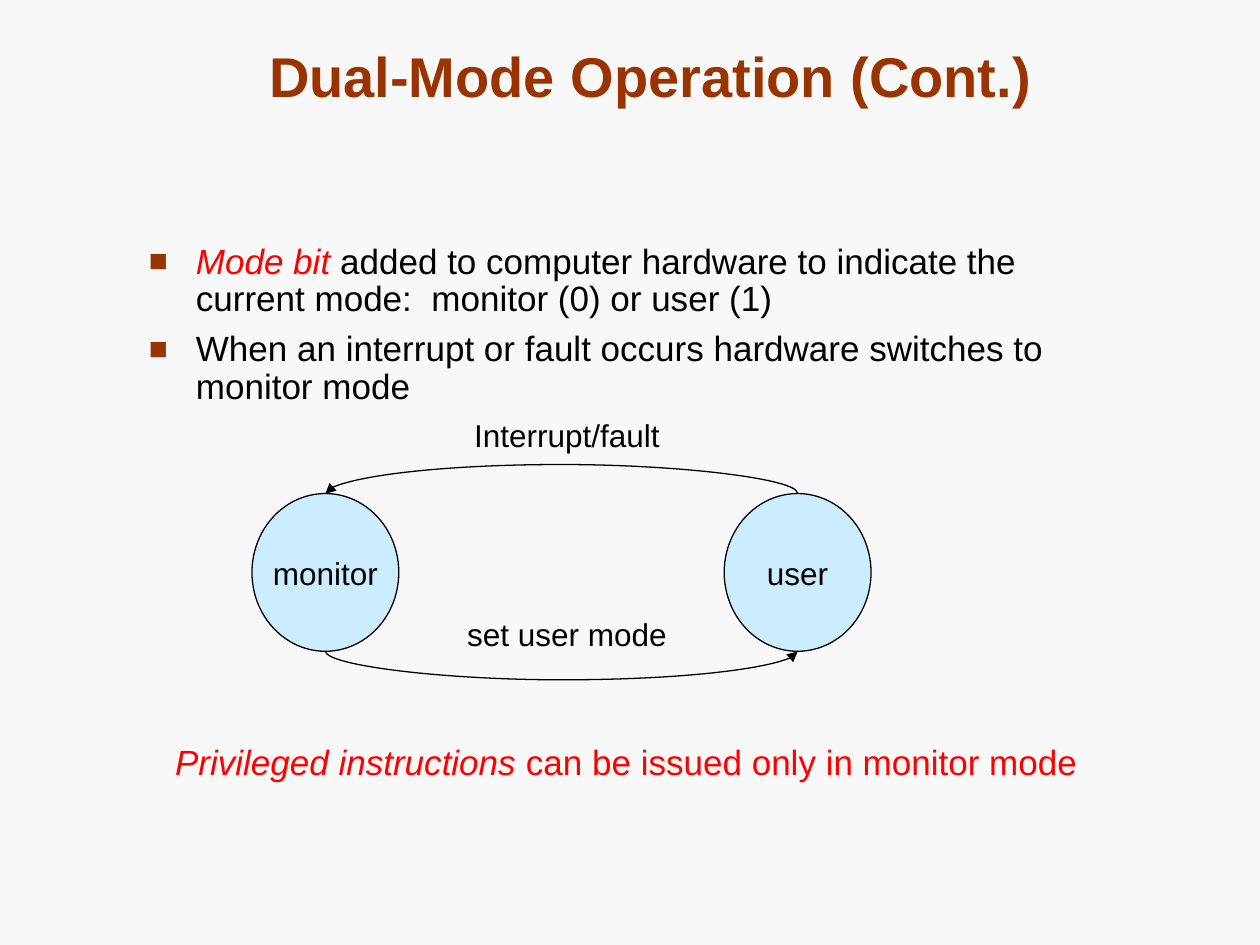
import pptx
import pptx.util
import pptx.dml.color
import pptx.enum.shapes
import pptx.enum.text
import pptx.oxml.ns
import lxml.etree

Cm = pptx.util.Cm
Pt = pptx.util.Pt
Rgb = pptx.dml.color.RGBColor.from_string
Align = pptx.enum.text.PP_ALIGN
Anchor = pptx.enum.text.MSO_ANCHOR
qn = pptx.oxml.ns.qn

theme = {
    "font": "Arial", "back": "F8F8F8", "ink": "000000", "brand": "993300",
    "alert": "FF0000", "node": "CCECFF",
    "title": 32, "body": 20, "label": 18, "line": 0.75,
}


def style(run, size, color, bold=False, italic=False):
    run.font.name = theme["font"]
    run.font.size = Pt(theme[size])
    run.font.color.rgb = Rgb(theme[color])
    run.font.bold = bold
    run.font.italic = italic


def add_box(left, top, width, height, anchor=Anchor.TOP, wrap=True):
    box = slide.shapes.add_textbox(Cm(left), Cm(top), Cm(width), Cm(height))
    box.text_frame.word_wrap = wrap
    box.text_frame.vertical_anchor = anchor
    return box.text_frame


deck = pptx.Presentation()
deck.slide_width = Cm(25.4)
deck.slide_height = Cm(19.05)
slide = deck.slides.add_slide(deck.slide_layouts[6])
slide.background.fill.solid()
slide.background.fill.fore_color.rgb = Rgb(theme["back"])

title = add_box(1.9, 0.62, 22.43, 1.7, Anchor.BOTTOM)
title.text = "Dual-Mode Operation (Cont.)"
title.paragraphs[0].alignment = Align.CENTER
style(title.paragraphs[0].runs[0], "title", "brand", bold=True)

points = [
    [("Mode bit ", "alert", True),
     ("added to computer hardware to indicate the current mode:  monitor (0) or user (1)", "ink", False)],
    [("When an interrupt or fault occurs hardware switches to monitor mode", "ink", False)],
]
body = add_box(2.75, 4.79, 19.53, 3.89)
for i, parts in enumerate(points):
    para = body.add_paragraph() if i else body.paragraphs[0]
    para.line_spacing = 0.9
    para.space_after = Pt(7)
    props = para._p.get_or_add_pPr()
    props.set("marL", str(Cm(0.95)))
    props.set("indent", str(-Cm(0.95)))
    hue = lxml.etree.SubElement(props, qn("a:buClr"))
    lxml.etree.SubElement(hue, qn("a:srgbClr"), val=theme["brand"])
    lxml.etree.SubElement(props, qn("a:buSzPct"), val="90000")
    lxml.etree.SubElement(props, qn("a:buFont"), typeface=theme["font"])
    lxml.etree.SubElement(props, qn("a:buChar"), char="■")
    for text, color, slant in parts:
        run = para.add_run()
        run.text = text
        style(run, "body", color, italic=slant)

note = add_box(3.28, 14.8, 19.53, 1.48).paragraphs[0]
for text, slant in [("Privileged instructions ", True), ("can be issued only in monitor mode", False)]:
    run = note.add_run()
    run.text = text
    style(run, "body", "alert", italic=slant)

wide, high, top = 2.96, 3.18, 9.95
lefts = {"monitor": 5.08, "user": 14.6}
nodes = {}
for name, left in lefts.items():
    node = slide.shapes.add_shape(
        pptx.enum.shapes.MSO_SHAPE.OVAL, Cm(left), Cm(top), Cm(wide), Cm(high))
    node.shadow.inherit = False
    node.fill.solid()
    node.fill.fore_color.rgb = Rgb(theme["node"])
    node.line.color.rgb = Rgb(theme["ink"])
    node.line.width = Pt(theme["line"])
    frame = node.text_frame
    frame.word_wrap = False
    frame.vertical_anchor = Anchor.MIDDLE
    frame.text = name
    frame.paragraphs[0].alignment = Align.CENTER
    style(frame.paragraphs[0].runs[0], "label", "ink")
    nodes[name] = node

span = lefts["user"] - lefts["monitor"]
mid = (lefts["user"] + lefts["monitor"] + wide) / 2
thin, bulge = 0.01, 0.58
arcs = [("user", "monitor", top, 0, -1), ("monitor", "user", top + high, 4, 1)]
for start, end, level, site, way in arcs:
    arc = slide.shapes.add_connector(
        pptx.enum.shapes.MSO_CONNECTOR.CURVE,
        Cm(mid + thin / 2), Cm(level - way * span / 2),
        Cm(mid - thin / 2), Cm(level + way * span / 2))
    arc.line.color.rgb = Rgb(theme["ink"])
    arc.line.width = Pt(theme["line"])
    props = arc._element.spPr
    props.find(qn("a:xfrm")).set("rot", str(270 * 60000))
    guides = props.find(qn("a:prstGeom")).get_or_add_avLst()
    ratio = round(way * bulge / thin * 100000)
    lxml.etree.SubElement(guides, qn("a:gd"), name="adj1", fmla=f"val {ratio}")
    lxml.etree.SubElement(props.find(qn("a:ln")), qn("a:tailEnd"), type="triangle")
    lxml.etree.SubElement(props, qn("a:effectLst"))
    links = arc._element.find(".//" + qn("p:cNvCxnSpPr"))
    for tag, name in [("a:stCxn", start), ("a:endCxn", end)]:
        lxml.etree.SubElement(links, qn(tag), id=str(nodes[name].shape_id), idx=str(site))

centre, room = 11.43, 4.8
for text, level in [("Interrupt/fault", 8.26), ("set user mode", 12.27)]:
    frame = add_box(centre - room / 2, level, room, 1.02, Anchor.MIDDLE, wrap=False)
    frame.text = text
    frame.paragraphs[0].alignment = Align.CENTER
    style(frame.paragraphs[0].runs[0], "label", "ink")

deck.save("out.pptx")
